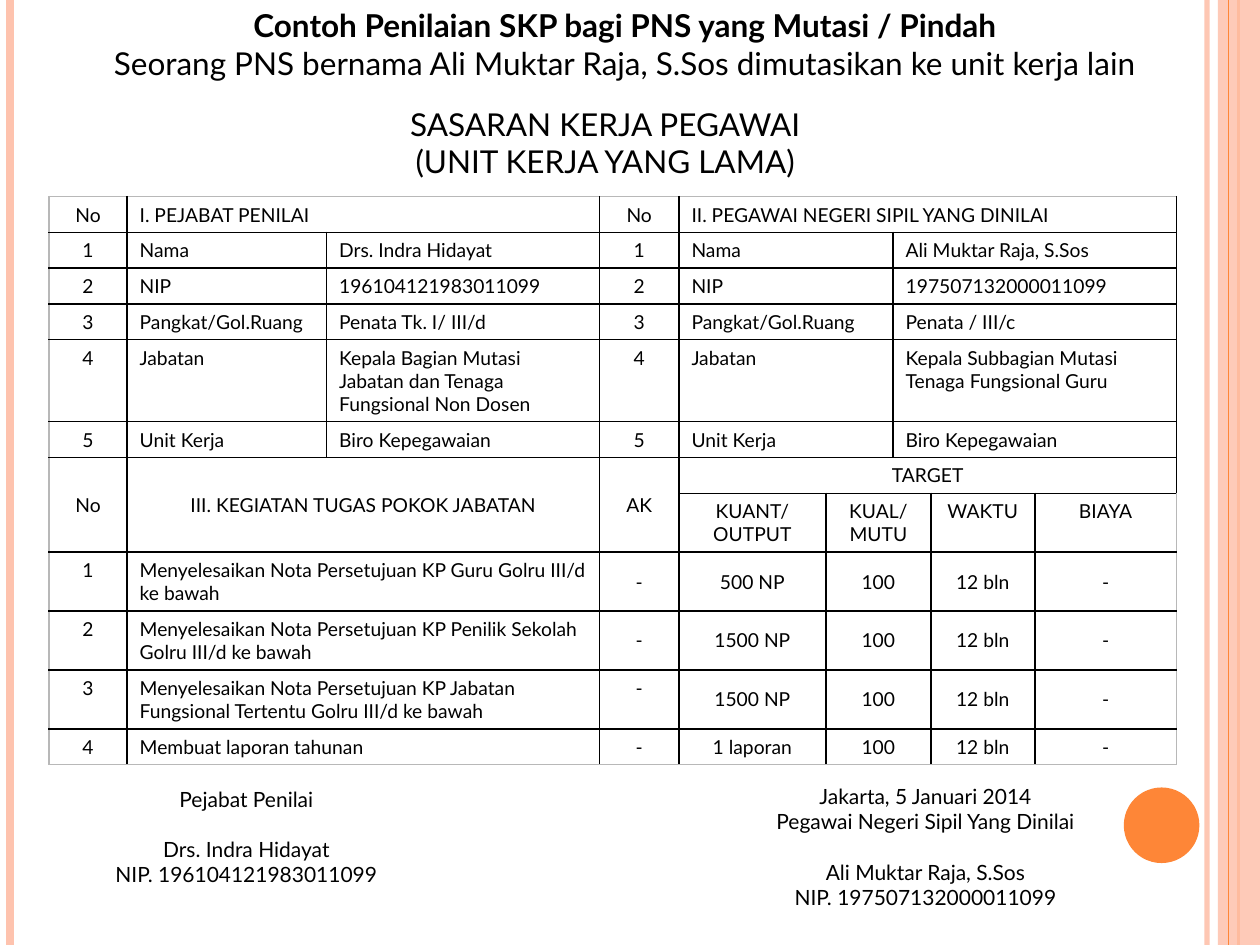
from dataclasses import dataclass
from typing import NamedTuple

from lxml import etree
from pptx import Presentation
from pptx.dml.color import RGBColor
from pptx.enum.shapes import MSO_CONNECTOR, MSO_SHAPE
from pptx.enum.text import MSO_ANCHOR, MSO_AUTO_SIZE, PP_ALIGN
from pptx.oxml.ns import qn
from pptx.util import Pt

LEFT, CENTER = PP_ALIGN.LEFT, PP_ALIGN.CENTER
TOP, MIDDLE = MSO_ANCHOR.TOP, MSO_ANCHOR.MIDDLE
SLIDE_WIDTH, SLIDE_HEIGHT = 720, 540
TITLE_ONLY = 5


@dataclass(frozen=True)
class Theme:
    font: str = "Lato"
    ink: str = "000000"
    frame: str = "B8B8B8"
    peach: str = "FEC3AE"
    orange: str = "FE8637"
    heading: float = 18
    signature: float = 12
    cell: float = 11
    rule: float = 1


class Stripe(NamedTuple):
    x: float
    width: float
    color: str
    opacity: int = 100


class Box(NamedTuple):
    left: float
    top: float
    width: float
    height: float


class Official(NamedTuple):
    label: str
    assessor: str
    employee: str


class Task(NamedTuple):
    activity: str
    output: str
    credit_anchor: MSO_ANCHOR = MIDDLE


THEME = Theme()

STRIPES = [
    Stripe(689.8, 3, THEME.peach, 93),
    Stripe(5.8, 4.5, THEME.peach),
    Stripe(707.8, 1.5, THEME.orange),
    Stripe(702, 0.75, THEME.orange),
]
BAND = Box(696, 0, 24, SLIDE_HEIGHT)
DISC = Box(642.2, 450, 43.2, 43.2)

OFFICIALS = [
    Official("Nama", "Drs. Indra Hidayat", "Ali Muktar Raja, S.Sos"),
    Official("NIP", "196104121983011099", "197507132000011099"),
    Official("Pangkat/Gol.Ruang", "Penata Tk. I/ III/d", "Penata / III/c"),
    Official("Jabatan", "Kepala Bagian Mutasi Jabatan dan Tenaga Fungsional Non Dosen",
             "Kepala Subbagian Mutasi Tenaga Fungsional Guru"),
    Official("Unit Kerja", "Biro Kepegawaian", "Biro Kepegawaian"),
]
TASKS = [
    Task("Menyelesaikan Nota Persetujuan KP Guru Golru III/d ke bawah", "500 NP"),
    Task("Menyelesaikan Nota Persetujuan KP Penilik Sekolah Golru III/d ke bawah", "1500 NP"),
    Task("Menyelesaikan Nota Persetujuan KP Jabatan Fungsional Tertentu Golru III/d ke bawah",
         "1500 NP", TOP),
    Task("Membuat laporan tahunan", "1 laporan", TOP),
]

TABLE_LEFT, TABLE_TOP = 28, 112.4
COLUMN_WIDTHS = [44.6, 114, 156, 45.4, 84, 38.4, 21.6, 59.4, 81]
LINES_PER_ROW = [1, 1, 1, 1, 3, 1, 1, 2, 2, 2, 2, 1]
LINE_HEIGHT = 1.2
CELL_PADDING = 7.2
TARGET_ROW = 6


def rgb(value: str) -> RGBColor:
    return RGBColor.from_string(value)


def set_opacity(properties, percent: int) -> None:
    """Add an alpha value to the first solid colour found in the properties."""
    color = next(properties.iter(qn("a:srgbClr")))
    etree.SubElement(color, qn("a:alpha")).set("val", str(percent * 1000))


def style_text(frame, size: float, align: PP_ALIGN) -> None:
    frame.word_wrap = True
    for paragraph in frame.paragraphs:
        paragraph.alignment = align
        for run in paragraph.runs:
            run.font.size = Pt(size)
            run.font.name = THEME.font
            run.font.bold = False
            run.font.color.rgb = rgb(THEME.ink)


def draw_stripe(slide, stripe: Stripe) -> None:
    line = slide.shapes.add_connector(
        MSO_CONNECTOR.STRAIGHT, Pt(stripe.x), Pt(0), Pt(stripe.x), Pt(SLIDE_HEIGHT))
    line.line.width = Pt(stripe.width)
    line.line.color.rgb = rgb(stripe.color)
    properties = line._element.spPr
    if stripe.opacity < 100:
        set_opacity(properties, stripe.opacity)
    etree.SubElement(properties, qn("a:effectLst"))


def draw_ornament(slide, kind: MSO_SHAPE, box: Box, color: str, opacity: int = 100) -> None:
    ornament = slide.shapes.add_shape(kind, *map(Pt, box))
    ornament.shadow.inherit = False
    ornament.fill.solid()
    ornament.fill.fore_color.rgb = rgb(color)
    ornament.line.fill.background()
    if opacity < 100:
        set_opacity(ornament._element.spPr, opacity)


def draw_title(slide, box: Box, text: str):
    title = slide.shapes.title
    title.left, title.top, title.width, title.height = map(Pt, box)
    frame = title.text_frame
    frame.text = text
    frame.auto_size = MSO_AUTO_SIZE.NONE
    frame.vertical_anchor = TOP
    style_text(frame, THEME.heading, CENTER)
    frame.paragraphs[0].runs[0].font.bold = True


def draw_text(slide, box: Box, text: str, size: float):
    frame = slide.shapes.add_textbox(*map(Pt, box)).text_frame
    frame.text = text
    style_text(frame, size, CENTER)
    return frame


def draw_signature(slide, box: Box, text: str, name_line: int) -> None:
    """Draw a signature block with one line of room above the signer's name."""
    frame = draw_text(slide, box, text, THEME.signature)
    frame.paragraphs[name_line].space_before = Pt(THEME.signature * LINE_HEIGHT)


def rule_cell(cell, edge_colors: dict[str, str]) -> None:
    properties = cell._tc.get_or_add_tcPr()
    for position, (edge, color) in enumerate(edge_colors.items()):
        line = etree.Element(qn(f"a:{edge}"), w=str(Pt(THEME.rule)))
        fill = etree.SubElement(line, qn("a:solidFill"))
        etree.SubElement(fill, qn("a:srgbClr")).set("val", color)
        properties.insert(position, line)


def add_grid(slide):
    heights = [n * THEME.cell * LINE_HEIGHT + CELL_PADDING for n in LINES_PER_ROW]
    table = slide.shapes.add_table(
        len(heights), len(COLUMN_WIDTHS), Pt(TABLE_LEFT), Pt(TABLE_TOP),
        Pt(sum(COLUMN_WIDTHS)), Pt(sum(heights))).table
    table.first_row = table.horz_banding = False
    for column, width in zip(table.columns, COLUMN_WIDTHS):
        column.width = Pt(width)
    for row, height in zip(table.rows, heights):
        row.height = Pt(height)
    last_row, last_column = len(heights) - 1, len(COLUMN_WIDTHS) - 1
    for r in range(last_row + 1):
        for c in range(last_column + 1):
            cell = table.cell(r, c)
            cell.fill.background()
            on_frame = {"lnL": c == 0, "lnR": c == last_column,
                        "lnT": r == 0, "lnB": r == last_row}
            rule_cell(cell, {edge: THEME.frame if outer else THEME.ink
                             for edge, outer in on_frame.items()})
    return table


def put(table, row: int, column: int, text: str, align: PP_ALIGN = CENTER,
        anchor: MSO_ANCHOR = TOP, rows: int = 1, columns: int = 1) -> None:
    cell = table.cell(row, column)
    if rows * columns > 1:
        cell.merge(table.cell(row + rows - 1, column + columns - 1))
    cell.text = text
    cell.vertical_anchor = anchor
    style_text(cell.text_frame, THEME.cell, align)


def fill_officials(table) -> None:
    put(table, 0, 0, "No")
    put(table, 0, 1, "I. PEJABAT PENILAI", LEFT, columns=2)
    put(table, 0, 3, "No")
    put(table, 0, 4, "II. PEGAWAI NEGERI SIPIL YANG DINILAI", LEFT, columns=5)
    for number, official in enumerate(OFFICIALS, start=1):
        put(table, number, 0, str(number))
        put(table, number, 1, official.label, LEFT)
        put(table, number, 2, official.assessor, LEFT)
        put(table, number, 3, str(number))
        put(table, number, 4, official.label, LEFT, columns=2)
        put(table, number, 6, official.employee, LEFT, columns=3)


def fill_tasks(table) -> None:
    put(table, TARGET_ROW, 0, "No", anchor=MIDDLE, rows=2)
    put(table, TARGET_ROW, 1, "III. KEGIATAN TUGAS POKOK JABATAN", anchor=MIDDLE, rows=2, columns=2)
    put(table, TARGET_ROW, 3, "AK", anchor=MIDDLE, rows=2)
    put(table, TARGET_ROW, 4, "TARGET", columns=5)
    put(table, TARGET_ROW + 1, 4, "KUANT/\nOUTPUT")
    put(table, TARGET_ROW + 1, 5, "KUAL/\nMUTU", columns=2)
    put(table, TARGET_ROW + 1, 7, "WAKTU")
    put(table, TARGET_ROW + 1, 8, "BIAYA")
    for number, task in enumerate(TASKS, start=1):
        row = TARGET_ROW + 1 + number
        put(table, row, 0, str(number))
        put(table, row, 1, task.activity, LEFT, columns=2)
        put(table, row, 3, "-", anchor=task.credit_anchor)
        put(table, row, 4, task.output, anchor=MIDDLE)
        put(table, row, 5, "100", anchor=MIDDLE, columns=2)
        put(table, row, 7, "12 bln", anchor=MIDDLE)
        put(table, row, 8, "-", anchor=MIDDLE)


def main() -> None:
    deck = Presentation()
    deck.slide_width, deck.slide_height = Pt(SLIDE_WIDTH), Pt(SLIDE_HEIGHT)
    slide = deck.slides.add_slide(deck.slide_layouts[TITLE_ONLY])
    for stripe in STRIPES[:3]:
        draw_stripe(slide, stripe)
    draw_ornament(slide, MSO_SHAPE.RECTANGLE, BAND, THEME.peach, 87)
    draw_stripe(slide, STRIPES[3])
    draw_ornament(slide, MSO_SHAPE.OVAL, DISC, THEME.orange)
    draw_title(slide, Box(33.8, 0, 646.6, 72.7),
               "Contoh Penilaian SKP bagi PNS yang Mutasi / Pindah\n"
               "Seorang PNS bernama Ali Muktar Raja, S.Sos dimutasikan ke unit kerja lain")
    draw_text(slide, Box(208, 56.2, 275.8, 72.7),
              "SASARAN KERJA PEGAWAI\n(UNIT KERJA YANG LAMA)", THEME.heading)
    table = add_grid(slide)
    fill_officials(table)
    fill_tasks(table)
    assessor, employee = OFFICIALS[0][1:]
    assessor_id, employee_id = OFFICIALS[1][1:]
    draw_signature(slide, Box(5.8, 445.7, 270, 94.3),
                   f"Pejabat Penilai\n{assessor}\nNIP. {assessor_id}", 1)
    draw_signature(slide, Box(365.8, 444.2, 326.2, 101.5),
                   "Jakarta, 5 Januari 2014\nPegawai Negeri Sipil Yang Dinilai\n"
                   f"{employee}\nNIP. {employee_id}", 2)
    deck.save("out.pptx")


if __name__ == "__main__":
    main()
